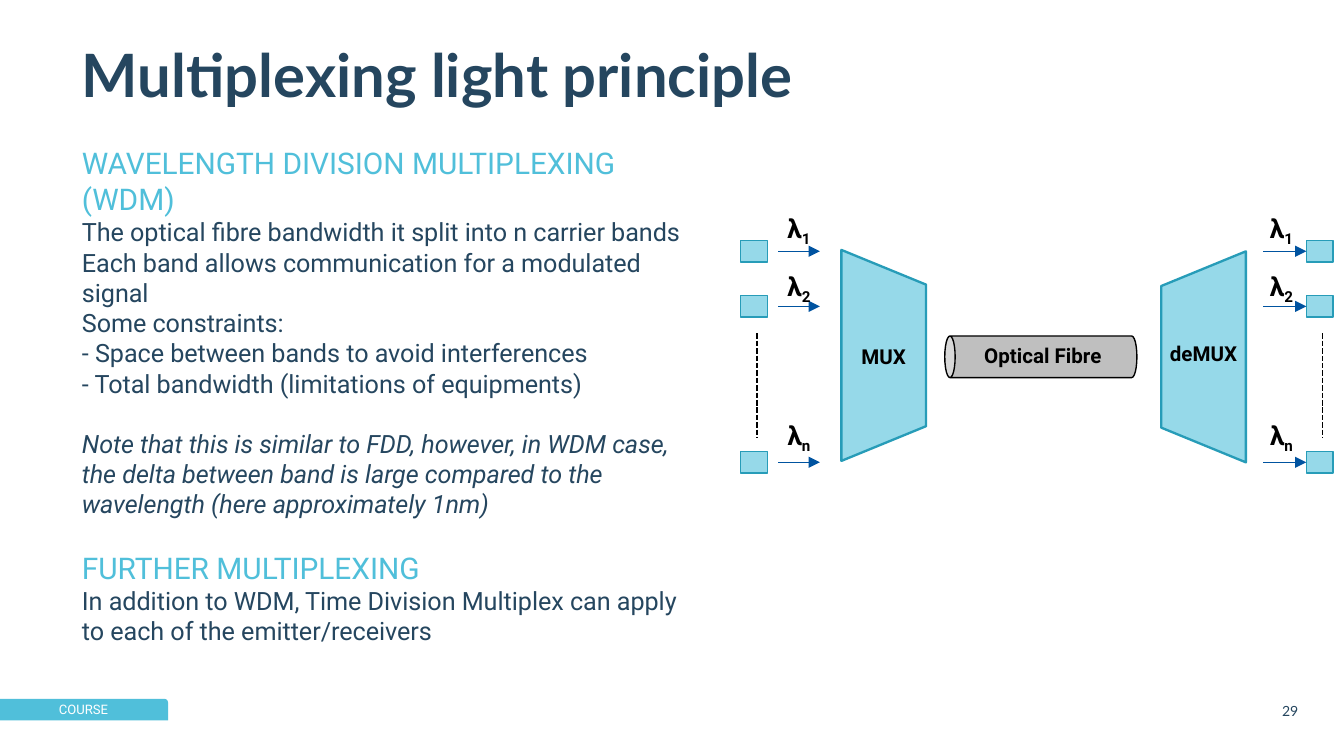
from dataclasses import dataclass

import pptx
import pptx.dml.color
import pptx.enum.dml
import pptx.enum.shapes
import pptx.enum.text
import pptx.oxml.ns
import pptx.util
from lxml import etree

Inches = pptx.util.Inches
Pt = pptx.util.Pt
SHAPE = pptx.enum.shapes.MSO_SHAPE
ALIGN = pptx.enum.text.PP_ALIGN
ANCHOR = pptx.enum.text.MSO_ANCHOR
qn = pptx.oxml.ns.qn

COLORS = {
    "navy": "25465F",
    "sky": "50BFDA",
    "pale": "96D9E9",
    "teal": "279CB8",
    "arrow": "0053A0",
    "grey": "BFBFBF",
    "black": "000000",
    "white": "FFFFFF",
}
BOX_W, BOX_H = 0.2, 0.16
ARROW_LENGTH = 0.31


@dataclass
class Line:
    text: str
    heading: bool = False
    italic: bool = False
    before: float = 0


@dataclass
class Channel:
    index: str
    box_top: float
    label_top: float


@dataclass
class Side:
    box_left: float
    arrow_left: float
    label_left: float
    joined: bool


BODY = [
    Line("WAVELENGTH DIVISION MULTIPLEXING (WDM)", heading=True),
    Line("The optical fibre bandwidth it split into n carrier bands"),
    Line("Each band allows communication for a modulated signal"),
    Line("Some constraints:"),
    Line("- Space between bands to avoid interferences"),
    Line("- Total bandwidth (limitations of equipments)"),
    Line("Note that this is similar to FDD, however, in WDM case, the delta between band is large "
         "compared to the wavelength (here approximately 1nm)", italic=True, before=16.2),
    Line("FURTHER MULTIPLEXING", heading=True, before=16.2),
    Line("In addition to WDM, Time Division Multiplex can apply to each of the emitter/receivers"),
]
CHANNELS = [Channel("1", 1.79, 1.53), Channel("2", 2.2, 1.96), Channel("n", 3.36, 3.07)]
SIDES = [Side(5.51, 5.79, 5.75, False), Side(9.72, 9.4, 9.34, True)]


def rgb(name: str) -> pptx.dml.color.RGBColor:
    return pptx.dml.color.RGBColor.from_string(COLORS[name])


def style(p, size: float, color: str, font: str = "Roboto", bold: bool = False,
          italic: bool = False, align=ALIGN.LEFT) -> None:
    p.alignment = align
    p.font.name = font
    p.font.size = Pt(size)
    p.font.bold = bold
    p.font.italic = italic
    p.font.color.rgb = rgb(color)


def add_shape(s, kind, left: float, top: float, width: float, height: float, fill: str,
              line: str = "", weight: float = 0.75, rotation: float = 0):
    sp = s.shapes.add_shape(kind, Inches(left), Inches(top), Inches(width), Inches(height))
    sp.shadow.inherit = False
    sp.rotation = rotation
    sp.fill.solid()
    sp.fill.fore_color.rgb = rgb(fill)
    if line:
        sp.line.color.rgb = rgb(line)
        sp.line.width = Pt(weight)
    else:
        sp.line.fill.background()
    return sp


def clear_margins(tf) -> None:
    tf.margin_left = tf.margin_right = tf.margin_top = tf.margin_bottom = 0


def add_text(s, left: float, top: float, width: float, height: float):
    sp = s.shapes.add_textbox(Inches(left), Inches(top), Inches(width), Inches(height))
    tf = sp.text_frame
    tf.word_wrap = True
    clear_margins(tf)
    return tf


def add_label(s, text: str, left: float, top: float, width: float, height: float,
              size: float = 11, subscript: str = "") -> None:
    sp = s.shapes.add_textbox(Inches(left), Inches(top), Inches(width), Inches(height))
    sp.text_frame.word_wrap = False
    p = sp.text_frame.paragraphs[0]
    style(p, size, "black", bold=True, align=ALIGN.CENTER)
    p.add_run().text = text
    if subscript:
        r = p.add_run()
        r.text = subscript
        r._r.get_or_add_rPr().set("baseline", "-25000")


def add_line(s, x1: float, y1: float, x2: float, y2: float, color: str, weight: float):
    line = s.shapes.add_connector(pptx.enum.shapes.MSO_CONNECTOR.STRAIGHT,
                                  Inches(x1), Inches(y1), Inches(x2), Inches(y2))
    line.line.color.rgb = rgb(color)
    line.line.width = Pt(weight)
    etree.SubElement(line._element.spPr, qn("a:effectLst"))
    return line


def add_channel(s, side: Side, channel: Channel) -> None:
    box = add_shape(s, SHAPE.RECTANGLE, side.box_left, channel.box_top, BOX_W, BOX_H,
                    "pale", "teal")
    y = channel.box_top + BOX_H / 2
    arrow = add_line(s, side.arrow_left, y, side.arrow_left + ARROW_LENGTH, y, "arrow", 0.75)
    etree.SubElement(arrow.line._get_or_add_ln(), qn("a:tailEnd"), type="triangle")
    if side.joined:
        arrow.end_connect(box, 1)
    add_label(s, "λ", side.label_left, channel.label_top, 0.39, 0.34, 14, channel.index)


def add_side(s, side: Side) -> None:
    for channel in CHANNELS:
        add_channel(s, side, channel)
    x = side.box_left + 0.12
    dots = add_line(s, x, 2.48, x, 3.26, "black", 1)
    dots.line.dash_style = pptx.enum.dml.MSO_LINE.SQUARE_DOT


def add_mux(s, left: float, top: float, rotation: float) -> None:
    sp = add_shape(s, SHAPE.TRAPEZOID, left, top, 1.57, 0.63, "pale", "teal", 1.25, rotation)
    sp.adjustments[0] = 0.41


def add_body(s) -> None:
    tf = add_text(s, 0.61, 1.08, 4.53, 3.98)
    for i, line in enumerate(BODY):
        p = tf.add_paragraph() if i else tf.paragraphs[0]
        p.text = line.text
        if line.before:
            p.space_before = Pt(line.before)
        size, color = (16, "sky") if line.heading else (13.5, "navy")
        style(p, size, color, italic=line.italic)


def add_frame(s) -> None:
    tag = add_shape(s, SHAPE.ROUND_1_RECTANGLE, 0, 5.2, 1.25, 0.16, "sky")
    tf = tag.text_frame
    clear_margins(tf)
    tf.vertical_anchor = ANCHOR.MIDDLE
    tf.text = "COURSE"
    style(tf.paragraphs[0], 7, "white", align=ALIGN.CENTER)

    tf = add_text(s, 0.61, 0.37, 9.06, 0.49)
    tf.text = "Multiplexing light principle"
    tf.paragraphs[0].line_spacing = 0.83
    style(tf.paragraphs[0], 32, "navy", "Lato", bold=True)

    tf = add_text(s, 9.07, 5.19, 0.59, 0.2)
    tf.vertical_anchor = ANCHOR.MIDDLE
    tf.text = "29"
    style(tf.paragraphs[0], 7.5, "navy", "Lato", align=ALIGN.RIGHT)


def main() -> None:
    prs = pptx.Presentation()
    prs.slide_width = Inches(10)
    prs.slide_height = prs.slide_width * 9 // 16
    s = prs.slides.add_slide(prs.slide_layouts[6])
    add_frame(s)
    add_body(s)
    add_mux(s, 5.79, 2.33, 90)
    add_label(s, "MUX", 6.26, 2.51, 0.63, 0.29)
    add_shape(s, SHAPE.CAN, 7.59, 1.94, 0.31, 1.43, "grey", "black", rotation=270)
    add_label(s, "Optical Fibre", 7.18, 2.5, 1.16, 0.29)
    add_mux(s, 8.17, 2.34, 270)
    add_label(s, "deMUX", 8.58, 2.49, 0.75, 0.29)
    for side in SIDES:
        add_side(s, side)
    prs.save("out.pptx")


if __name__ == "__main__":
    main()
